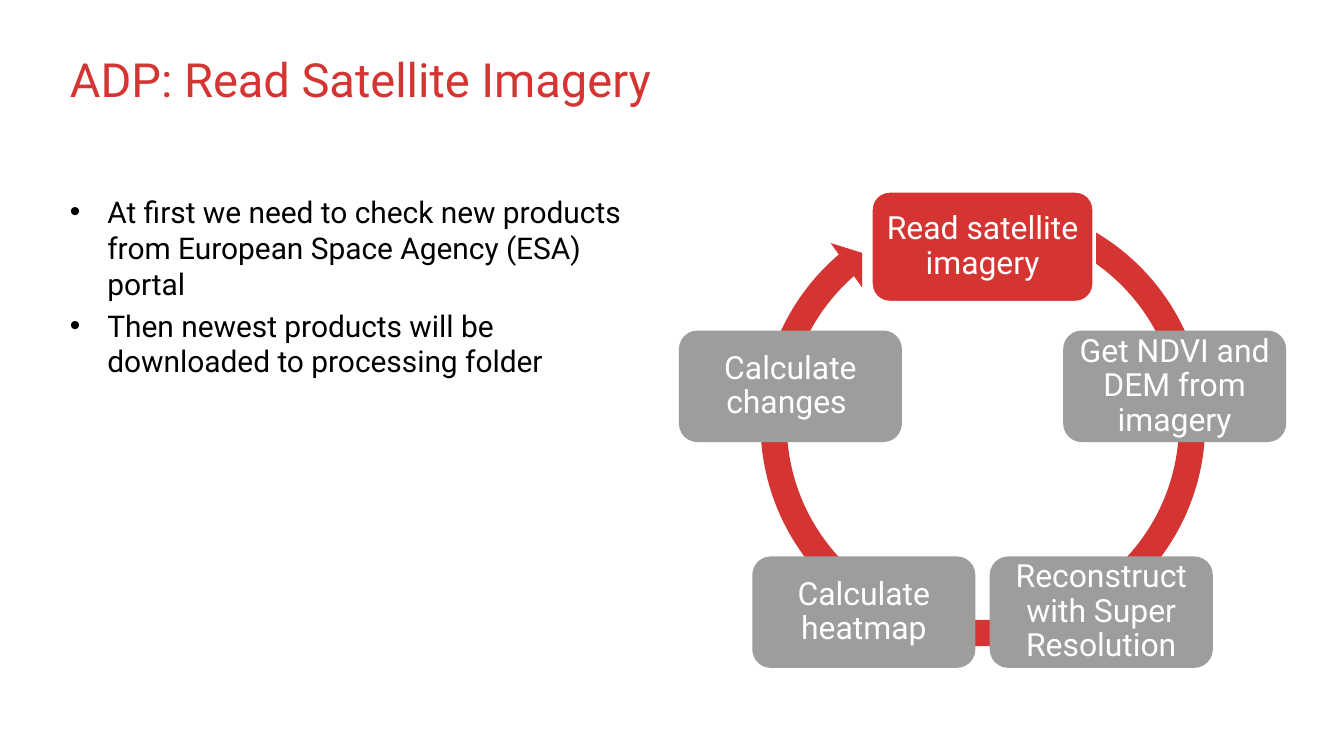
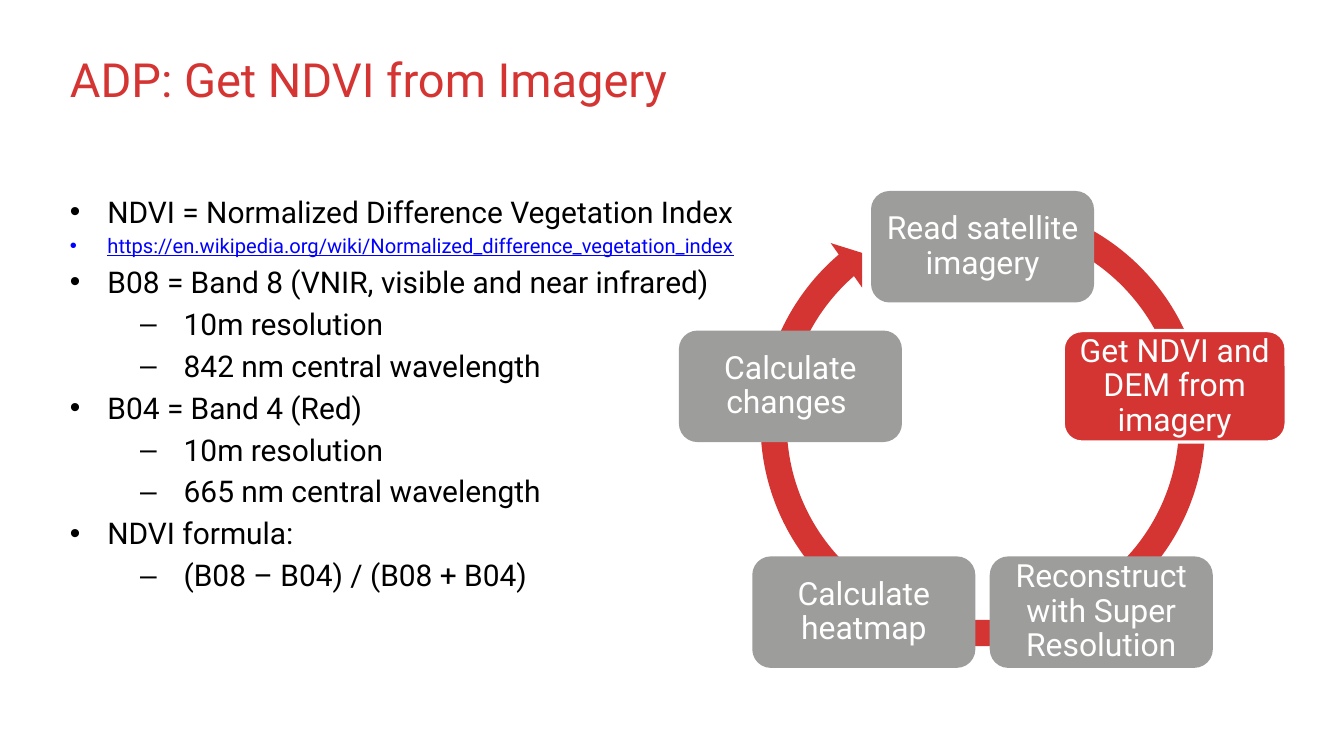
from dataclasses import dataclass
from math import cos, radians, sin

from lxml import etree
from pptx import Presentation
from pptx.dml.color import RGBColor
from pptx.enum.shapes import MSO_SHAPE
from pptx.enum.text import MSO_ANCHOR, PP_ALIGN
from pptx.oxml.ns import qn
from pptx.shapes.autoshape import Shape
from pptx.slide import Slide
from pptx.text.text import TextFrame
from pptx.util import Inches, Pt

ARROW = MSO_SHAPE.CIRCULAR_ARROW
ROUNDED = MSO_SHAPE.ROUNDED_RECTANGLE
TOP, MIDDLE = MSO_ANCHOR.TOP, MSO_ANCHOR.MIDDLE
LEFT, CENTER = PP_ALIGN.LEFT, PP_ALIGN.CENTER

# Shared style
FONT = "Roboto"
RED, GREY, WHITE, BLACK, BLUE = "D43533", "9D9D9C", "FFFFFF", "000000", "0000FF"
TITLE_SIZE, BODY_SIZE, LINK_SIZE, STEP_SIZE = 28, 17.8, 12, 19
SLIDE_WIDTH, SLIDE_HEIGHT = Inches(11.11), Inches(6.25)


def color(hex_text: str) -> RGBColor:
    return RGBColor.from_string(hex_text)


def across(percent: float) -> int:
    return round(SLIDE_WIDTH * percent / 100)


def down(percent: float) -> int:
    return round(SLIDE_HEIGHT * percent / 100)


# Shared layout, in percent of the slide's width or height
MARGIN = across(4.32)
BODY_TOP = down(24.8)
RING_LEFT, RING_SIZE = across(55.54), across(35.19)
CYCLE_X, CYCLE_Y, CYCLE_RADIUS = across(73.11), down(59.36), across(15.03)
STEP_WIDTH, STEP_HEIGHT = across(16.6), down(14.75)

# Ring thickness, head angle, end angle, start angle, head width
DEGREE = 0.6
RING_ADJUSTMENTS = (5.54 / 100, 5.51 * DEGREE, 229.28 * DEGREE, 289.96 * DEGREE, 5.76 / 100)

STEPS = (
    "Read satellite imagery",
    "Get NDVI and DEM from imagery",
    "Reconstruct with Super Resolution",
    "Calculate heatmap",
    "Calculate changes ",
)


@dataclass(frozen=True)
class Bullet:
    text: str
    level: int = 0
    is_link: bool = False


@dataclass(frozen=True)
class BulletStyle:
    symbol: str
    margin: float
    hanging: float


@dataclass(frozen=True)
class Page:
    title: str
    active_step: int
    body_width: float
    bullets: tuple[Bullet, ...]


BULLET_STYLES = (BulletStyle("•", 0.31, 0.31), BulletStyle("–", 0.94, 0.36))

PAGES = (
    Page("ADP: Read Satellite Imagery", 0, 43.92, (
        Bullet("At first we need to check new products from European Space Agency (ESA) portal"),
        Bullet("Then newest products will be downloaded to processing folder"),
    )),
    Page("ADP: Get NDVI from Imagery", 1, 89.02, (
        Bullet("NDVI = Normalized Difference Vegetation Index"),
        Bullet("https://en.wikipedia.org/wiki/Normalized_difference_vegetation_index", is_link=True),
        Bullet("B08 = Band 8 (VNIR, visible and near infrared)"),
        Bullet("10m resolution", 1),
        Bullet("842 nm central wavelength", 1),
        Bullet("B04 = Band 4 (Red)"),
        Bullet("10m resolution", 1),
        Bullet("665 nm central wavelength", 1),
        Bullet("NDVI formula:"),
        Bullet("(B08 – B04) / (B08 + B04)", 1),
    )),
)


def add_run(paragraph, text: str, size: float, hex_text: str, underline: bool = False) -> None:
    run = paragraph.add_run()
    run.text = text
    run.font.name = FONT
    run.font.size = Pt(size)
    run.font.color.rgb = color(hex_text)
    if underline:
        run.font.underline = True


def set_bullet(paragraph, level: int) -> None:
    style = BULLET_STYLES[level]
    paragraph.level = level
    properties = paragraph._p.get_or_add_pPr()
    properties.set("marL", str(Inches(style.margin)))
    properties.set("indent", str(-Inches(style.hanging)))
    etree.SubElement(properties, qn("a:buFont")).set("typeface", "Arial")
    etree.SubElement(properties, qn("a:buChar")).set("char", style.symbol)


def add_text_box(slide: Slide, top: int, width: int, height: int, anchor) -> TextFrame:
    frame = slide.shapes.add_textbox(MARGIN, top, width, height).text_frame
    frame.word_wrap = True
    frame.vertical_anchor = anchor
    return frame


def add_title(slide: Slide, title: str) -> None:
    frame = add_text_box(slide, down(2.08), across(79.57), down(16.64), MIDDLE)
    paragraph = frame.paragraphs[0]
    paragraph.alignment = LEFT
    add_run(paragraph, title, TITLE_SIZE, RED)


def add_bullets(slide: Slide, page: Page) -> None:
    frame = add_text_box(slide, BODY_TOP, across(page.body_width), down(63.04), TOP)
    for index, bullet in enumerate(page.bullets):
        paragraph = frame.add_paragraph() if index else frame.paragraphs[0]
        set_bullet(paragraph, bullet.level)
        size = LINK_SIZE if bullet.is_link else BODY_SIZE
        if index:
            paragraph.space_before = Pt(size * 0.2)
        add_run(paragraph, bullet.text, size, BLUE if bullet.is_link else BLACK, bullet.is_link)


def paint(shape: Shape, fill: str) -> None:
    shape.shadow.inherit = False
    shape.fill.solid()
    shape.fill.fore_color.rgb = color(fill)
    shape.line.fill.background()


def add_step(shapes, index: int, text: str, active: bool) -> None:
    angle = radians(index * 360 / len(STEPS))
    left = round(CYCLE_X + CYCLE_RADIUS * sin(angle) - STEP_WIDTH / 2)
    top = round(CYCLE_Y - CYCLE_RADIUS * cos(angle) - STEP_HEIGHT / 2)
    step = shapes.add_shape(ROUNDED, left, top, STEP_WIDTH, STEP_HEIGHT)
    paint(step, RED if active else GREY)
    if active:
        step.line.color.rgb = color(WHITE)
        step.line.width = Pt(2)
    frame = step.text_frame
    frame.word_wrap = True
    frame.vertical_anchor = MIDDLE
    frame.margin_left = frame.margin_right = Inches(0.07)
    frame.margin_top = frame.margin_bottom = Inches(0.07)
    paragraph = frame.paragraphs[0]
    paragraph.alignment = CENTER
    paragraph.line_spacing = 0.9
    add_run(paragraph, text, STEP_SIZE, WHITE)


def add_cycle(slide: Slide, active_step: int) -> None:
    shapes = slide.shapes.add_group_shape().shapes
    ring = shapes.add_shape(ARROW, RING_LEFT, BODY_TOP, RING_SIZE, RING_SIZE)
    for index, value in enumerate(RING_ADJUSTMENTS):
        ring.adjustments[index] = value
    paint(ring, RED)
    for index, text in enumerate(STEPS):
        add_step(shapes, index, text, index == active_step)


def main() -> None:
    presentation = Presentation()
    presentation.slide_width = SLIDE_WIDTH
    presentation.slide_height = SLIDE_HEIGHT
    blank_layout = presentation.slide_layouts[6]
    for page in PAGES:
        slide = presentation.slides.add_slide(blank_layout)
        add_title(slide, page.title)
        add_bullets(slide, page)
        add_cycle(slide, page.active_step)
    presentation.save("out.pptx")


if __name__ == "__main__":
    main()
